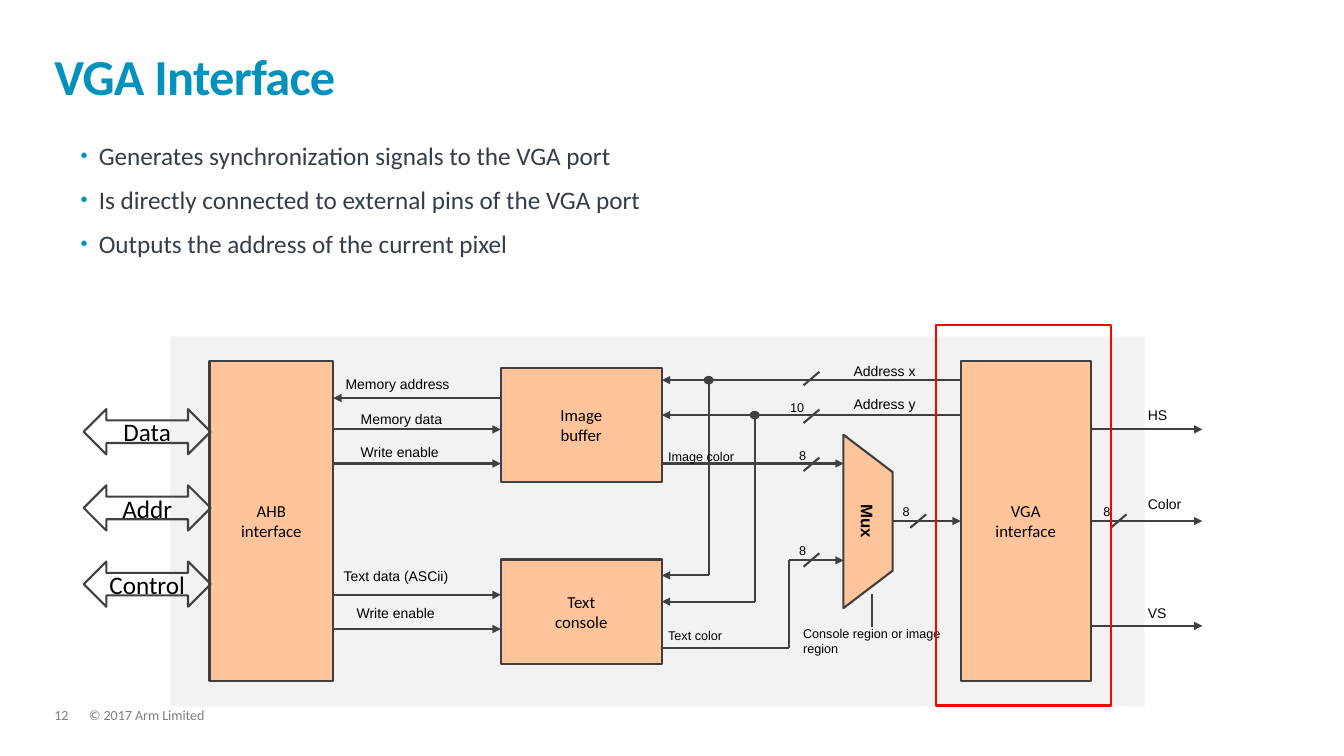
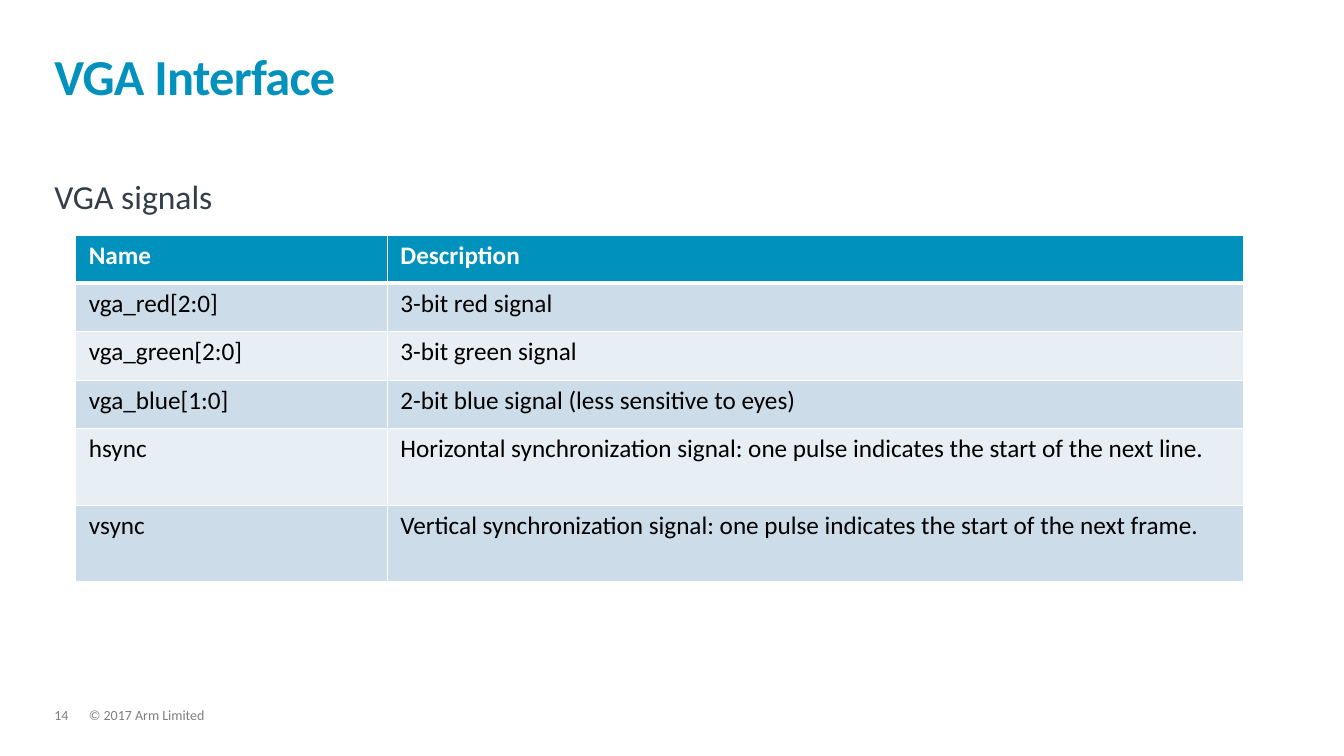
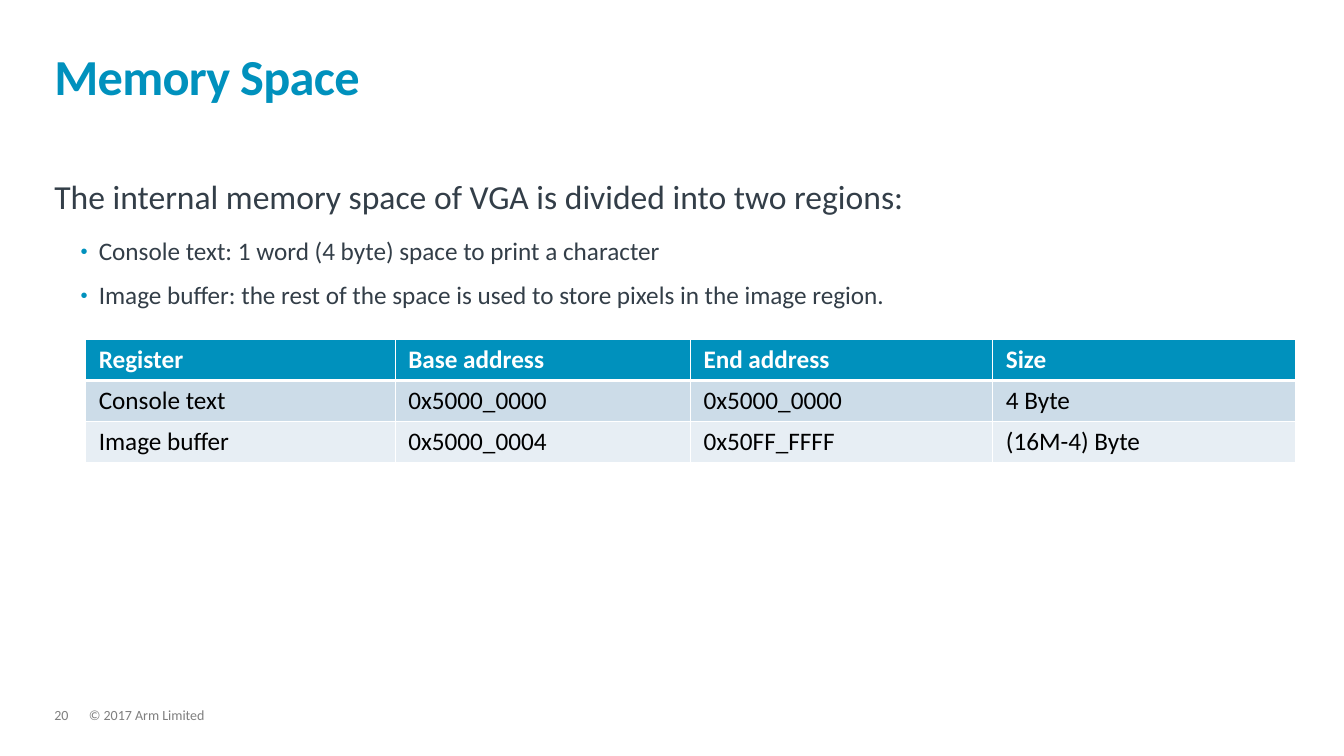
from dataclasses import dataclass

from lxml import etree
from pptx import Presentation
from pptx.dml.color import RGBColor
from pptx.enum.shapes import MSO_CONNECTOR, MSO_SHAPE
from pptx.enum.text import MSO_ANCHOR, PP_ALIGN
from pptx.oxml.ns import qn
from pptx.util import Cm, Pt

STRAIGHT = MSO_CONNECTOR.STRAIGHT
RECTANGLE = MSO_SHAPE.RECTANGLE
ELLIPSE = MSO_SHAPE.OVAL
TRAPEZOID = MSO_SHAPE.TRAPEZOID
DOUBLE_ARROW = MSO_SHAPE.LEFT_RIGHT_ARROW
TOP = MSO_ANCHOR.TOP
MIDDLE = MSO_ANCHOR.MIDDLE
BOTTOM = MSO_ANCHOR.BOTTOM
LEFT = PP_ALIGN.LEFT
CENTER = PP_ALIGN.CENTER
LEFT_SIDE, RIGHT_SIDE = 1, 3


@dataclass(frozen=True)
class Theme:
    accent: str = "0091BD"
    body: str = "333E48"
    footer: str = "7F7F7F"
    ink: str = "000000"
    white: str = "FFFFFF"
    wire: str = "404040"
    block: str = "FFC499"
    panel: str = "F2F2F2"
    highlight: str = "FF0000"
    bands: tuple = ("CCDCE8", "E7EEF4")
    font: str = "Calibri"
    label_font: str = "Arial"
    title_size: float = 36
    lead_size: float = 24
    text_size: float = 18
    block_size: float = 12
    label_size: float = 10
    small_size: float = 9
    line_width: float = 1.5


class Deck:
    def __init__(self, theme):
        self.theme = theme
        self.presentation = Presentation()
        self.presentation.slide_width = Cm(33.87)
        self.presentation.slide_height = Cm(19.05)
        self.slide = None

    def new_slide(self, title, number):
        theme = self.theme
        self.slide = self.presentation.slides.add_slide(self.presentation.slide_layouts[6])
        for left, width, text in ((2.24, 23.19, "© 2017 Arm Limited"), (1.37, 0.86, number)):
            frame = self.text_frame(left, 17.86, width, 0.38)
            paragraph = self.add_text(frame, text, theme.label_size, theme.footer)
            paragraph.line_spacing = 0.9
        frame = self.text_frame(1.37, 0.81, 31.06, 1.85)
        frame.vertical_anchor = BOTTOM
        paragraph = self.add_text(frame, title, theme.title_size, theme.accent, bold=True)
        paragraph.line_spacing = 0.85
        paragraph.runs[0]._r.get_or_add_rPr().set("spc", "-50")

    def text_frame(self, left, top, width, height, insets=False, rotation=0):
        box = self.slide.shapes.add_textbox(Cm(left), Cm(top), Cm(width), Cm(height))
        box.rotation = rotation
        frame = box.text_frame
        frame.word_wrap = True
        if not insets:
            frame.margin_left = frame.margin_right = 0
            frame.margin_top = frame.margin_bottom = 0
        return frame

    def add_text(self, frame, text, size, color, font=None, bold=False, align=LEFT, first=True):
        paragraph = frame.paragraphs[0] if first else frame.add_paragraph()
        paragraph.alignment = align
        run = paragraph.add_run()
        run.text = text
        run.font.name = font or self.theme.font
        run.font.size = Pt(size)
        run.font.bold = bold
        run.font.color.rgb = RGBColor.from_string(color)
        return paragraph

    def body(self, top, height, bullets=(), lead=None):
        theme = self.theme
        frame = self.text_frame(1.37, top, 31.06, height)
        if lead:
            paragraph = self.add_text(frame, lead, theme.lead_size, theme.body)
            paragraph.line_spacing = 0.9
            paragraph.space_after = Pt(16)
        for index, text in enumerate(bullets):
            first = index == 0 and not lead
            paragraph = self.add_text(frame, text, theme.text_size, theme.body, first=first)
            paragraph.level = 1
            paragraph.line_spacing = 0.9
            paragraph.space_after = Pt(12)
            self.add_bullet(paragraph)

    def add_bullet(self, paragraph):
        properties = paragraph._p.get_or_add_pPr()
        properties.set("marL", str(Cm(1.12)))
        properties.set("indent", str(Cm(-0.46)))
        color = etree.SubElement(properties, qn("a:buClr"))
        etree.SubElement(color, qn("a:srgbClr"), val=self.theme.accent)
        etree.SubElement(properties, qn("a:buSzPct"), val="80000")
        etree.SubElement(properties, qn("a:buFont"), typeface=self.theme.label_font)
        etree.SubElement(properties, qn("a:buChar"), char="•")

    def shape(self, kind, left, top, width, height, fill=None, line=None, lines=(), size=None):
        shape = self.slide.shapes.add_shape(kind, Cm(left), Cm(top), Cm(width), Cm(height))
        shape.shadow.inherit = False
        if fill:
            shape.fill.solid()
            shape.fill.fore_color.rgb = RGBColor.from_string(fill)
        else:
            shape.fill.background()
        if line:
            shape.line.color.rgb = RGBColor.from_string(line)
            shape.line.width = Pt(self.theme.line_width)
        else:
            shape.line.fill.background()
        if lines:
            frame = shape.text_frame
            frame.word_wrap = False
            frame.vertical_anchor = MIDDLE
            for index, text in enumerate(lines):
                self.add_text(frame, text, size, self.theme.ink, align=CENTER, first=index == 0)
        return shape

    def block(self, left, top, width, height, *lines):
        theme = self.theme
        return self.shape(RECTANGLE, left, top, width, height, theme.block, theme.wire,
                          lines, theme.block_size)

    def wire(self, start, end, arrow=False):
        points = [Cm(value) for value in (*start, *end)]
        connector = self.slide.shapes.add_connector(STRAIGHT, *points)
        connector.line.color.rgb = RGBColor.from_string(self.theme.wire)
        connector.line.width = Pt(self.theme.line_width)
        properties = connector._element.spPr
        if arrow:
            etree.SubElement(properties.find(qn("a:ln")), qn("a:tailEnd"), type="triangle")
        etree.SubElement(properties, qn("a:effectLst"))
        return connector

    def label(self, text, left, top, width=4.7, size=None):
        frame = self.text_frame(left, top, width, 0.69, insets=True)
        self.add_text(frame, text, size or self.theme.label_size, self.theme.ink,
                      self.theme.label_font)

    def bus_mark(self, x, y, count=None, label_left=None):
        self.wire((x - 0.2, y + 0.17), (x + 0.2, y - 0.17))
        if count:
            self.label(count, label_left, y - 0.55, 1.42, self.theme.small_size)

    def junction(self, x, y):
        self.shape(ELLIPSE, x - 0.1, y - 0.08, 0.2, 0.16, self.theme.wire, self.theme.wire)

    def table(self, left, top, widths, heights, rows):
        theme = self.theme
        graphic = self.slide.shapes.add_table(len(rows), len(widths), Cm(left), Cm(top),
                                              Cm(sum(widths)), Cm(sum(heights)))
        table = graphic.table
        table.horz_banding = False
        for column, width in zip(table.columns, widths):
            column.width = Cm(width)
        for index, (row, height, texts) in enumerate(zip(table.rows, heights, rows)):
            row.height = Cm(height)
            header = index == 0
            fill = theme.accent if header else theme.bands[(index - 1) % 2]
            for cell, text in zip(row.cells, texts):
                cell.margin_left = cell.margin_right = Cm(0.33)
                cell.margin_top = cell.margin_bottom = Cm(0.13)
                cell.vertical_anchor = TOP
                self.add_borders(cell, 3 if index == 1 else 1, 3 if header else 1)
                cell.fill.solid()
                cell.fill.fore_color.rgb = RGBColor.from_string(fill)
                self.add_text(cell.text_frame, text, theme.text_size,
                              theme.white if header else theme.ink, bold=header)

    def add_borders(self, cell, top_width, bottom_width):
        properties = cell._tc.get_or_add_tcPr()
        for side, width in (("L", 1), ("R", 1), ("T", top_width), ("B", bottom_width)):
            border = etree.SubElement(properties, qn(f"a:ln{side}"), w=str(Pt(width)))
            fill = etree.SubElement(border, qn("a:solidFill"))
            etree.SubElement(fill, qn("a:srgbClr"), val=self.theme.white)


def add_diagram_slide(deck):
    theme = deck.theme
    deck.new_slide("VGA Interface", "12")
    deck.body(3.61, 11.35, (
        "Generates synchronization signals to the VGA port",
        "Is directly connected to external pins of the VGA port",
        "Outputs the address of the current pixel",
    ))

    deck.shape(RECTANGLE, 4.29, 8.48, 24.56, 9.32, theme.panel)
    ahb_right, memory_left, memory_right = 8.4, 12.62, 16.68
    mux_left, mux_right, vga_left, vga_right = 21.26, 22.48, 24.21, 27.49
    center_y = 13.13
    deck.block(5.28, 9.09, 3.12, 8.08, "AHB", "interface")
    deck.block(memory_left, 9.27, 4.06, 2.87, "Image", "buffer")
    deck.block(memory_left, 14.1, 4.06, 2.64, "Text", "console")
    vga = deck.block(vga_left, 9.09, 3.28, 8.08, "VGA", "interface")
    mux = deck.shape(TRAPEZOID, 19.69, 12.52, 4.37, 1.24, theme.block, theme.wire)
    mux.adjustments[0] = 0.76
    mux.rotation = 90
    frame = deck.text_frame(20.96, 12.75, 1.8, 0.76, insets=True, rotation=90)
    deck.add_text(frame, "Mux", theme.block_size, theme.ink, theme.label_font, True, CENTER)

    for index, text in enumerate(("Data", "Addr", "Control")):
        deck.shape(DOUBLE_ARROW, 2.11, 10.31 + index * 1.92, 3.2, 1.14, None, theme.wire,
                   (text,), theme.text_size)

    deck.wire((memory_left, 10.03), (ahb_right, 10.03), True)
    for y in (10.82, 11.68, 14.99, 15.85):
        deck.wire((ahb_right, y), (memory_left, y), True)

    for address_y, tap_x, console_y in ((9.58, 17.86, 14.5), (10.46, 19.02, 15.16)):
        deck.wire((vga_left, address_y), (memory_right, address_y), True)
        deck.wire((tap_x, address_y), (tap_x, console_y))
        deck.wire((tap_x, console_y), (memory_right, console_y), True)
        deck.junction(tap_x, address_y)

    image_y, text_y, text_out_y, bend_x = 11.68, 14.12, 16.33, 19.89
    deck.wire((memory_right, image_y), (mux_left, image_y), True)
    deck.wire((memory_right, text_out_y), (bend_x, text_out_y))
    deck.wire((bend_x, text_out_y), (bend_x, text_y))
    deck.wire((bend_x, text_y), (mux_left, text_y), True)
    deck.wire((21.97, 15.8), (21.97, 14.96))
    color_in = deck.wire((mux_right, center_y), (vga_left, center_y), True)
    color_in.end_connect(vga, LEFT_SIDE)

    output_right = 30.3
    color_out = deck.wire((vga_right, center_y), (output_right, center_y), True)
    color_out.begin_connect(vga, RIGHT_SIDE)
    for y in (10.82, 15.77):
        deck.wire((vga_right, y), (output_right, y), True)

    deck.bus_mark(20.45, 9.54)
    for mark in (
        (20.45, 10.49, "10", 19.66),
        (20.45, 11.7, "8", 19.89),
        (20.45, 14.11, "8", 19.89),
        (23.14, center_y, "8", 22.5),
        (28.19, center_y, "8", 27.56),
    ):
        deck.bus_mark(*mark)

    for text, left, top in (
        ("Memory address", 8.46, 9.35),
        ("Memory data", 8.84, 10.21),
        ("Write enable", 8.84, 11.05),
        ("Text data (ASCii)", 8.41, 14.17),
        ("Write enable", 8.74, 15.11),
        ("Address x", mux_left, 9.02),
        ("Address y", mux_left, 9.83),
        ("HS", 28.68, 10.13),
        ("Color", 28.68, 12.37),
        ("VS", 28.68, 15.11),
    ):
        deck.label(text, left, top)
    for text, left, top in (
        ("Image color", 16.59, 11.18),
        ("Text color", 16.59, 15.7),
        ("Console region or image region", 19.99, 15.65),
    ):
        deck.label(text, left, top, size=theme.small_size)

    deck.shape(RECTANGLE, 23.6, 8.2, 4.39, 9.58, None, theme.highlight)


def add_signals_slide(deck):
    deck.new_slide("VGA Interface", "14")
    deck.body(4.55, 1.17, lead="VGA signals")
    deck.table(1.91, 5.92, (7.85, 21.59), (1.22,) * 4 + (1.93,) * 2, (
        ("Name", "Description"),
        ("vga_red[2:0]", "3-bit red signal"),
        ("vga_green[2:0]", "3-bit green signal"),
        ("vga_blue[1:0]", "2-bit blue signal (less sensitive to eyes)"),
        ("hsync", "Horizontal synchronization signal: one pulse indicates "
                  "the start of the next line."),
        ("vsync", "Vertical synchronization signal: one pulse indicates "
                  "the start of the next frame."),
    ))


def add_memory_slide(deck):
    deck.new_slide("Memory Space", "20")
    deck.body(4.55, 3.94, (
        "Console text: 1 word (4 byte) space to print a character",
        "Image buffer: the rest of the space is used to store pixels in the image region.",
    ), lead="The internal memory space of VGA is divided into two regions:")
    deck.table(2.16, 8.56, (7.8, 7.44, 7.62, 7.62), (1.03,) * 3, (
        ("Register", "Base address", "End address", "Size"),
        ("Console text", "0x5000_0000", "0x5000_0000", "4 Byte"),
        ("Image buffer", "0x5000_0004", "0x50FF_FFFF", "(16M-4) Byte"),
    ))


def main():
    deck = Deck(Theme())
    add_diagram_slide(deck)
    add_signals_slide(deck)
    add_memory_slide(deck)
    deck.presentation.save("out.pptx")


if __name__ == "__main__":
    main()
